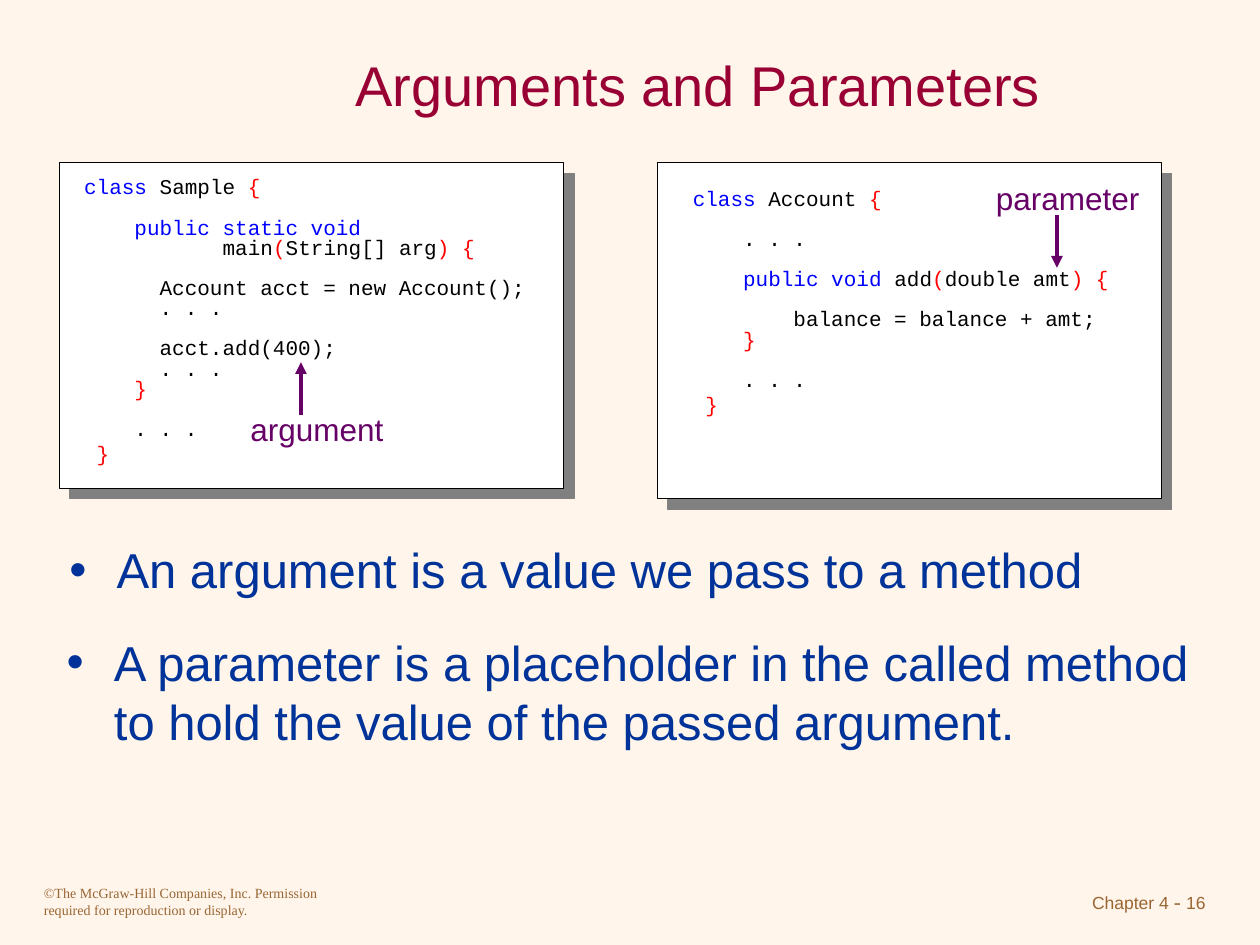
from lxml.etree import SubElement as Sub
from pptx import Presentation
from pptx.dml.color import RGBColor as RGB
from pptx.enum.shapes import MSO_CONNECTOR as Conn, MSO_SHAPE as Kind
from pptx.enum.text import MSO_ANCHOR as Anchor, MSO_AUTO_SIZE as Fit, PP_ALIGN as Align
from pptx.oxml.ns import qn
from pptx.util import Pt

INK, BLUE, RED = "000000", "0000FF", "FF0000"
NAVY, PLUM, TAN = "003399", "660066", "996633"
CODE = {"name": "Courier New", "size": Pt(12)}
HEAD = {"name": "Arial", "size": Pt(32), "color": "990033"}
LIST = {"name": "Arial", "size": Pt(28), "color": NAVY}
NOTE = {"name": "Arial", "size": Pt(18), "color": PLUM}
FOOT = {"name": "Arial", "size": Pt(10), "color": TAN}
DASH = {"name": "Times New Roman", "size": Pt(12), "color": TAN}
LEGAL = {"name": "Times New Roman", "size": Pt(8), "color": TAN}

# Each row is a list of (text, colour) runs; an empty row is a blank line.
SAMPLE = [
    [("class", BLUE), (" Sample ", INK), ("{", RED)],
    [],
    [("    public static void", BLUE)],
    [("           main", INK), ("(", RED), ("String[] arg", INK), (") {", RED)],
    [],
    [("      Account acct = new Account();", INK)],
    [("      . . .", INK)],
    [],
    [("      acct.add(400);", INK)],
    [("      . . .", INK)],
    [("    }", RED)],
    [],
    [("    . . .", INK)],
    [(" }", RED)],
]
ACCOUNT = [
    [("class", BLUE), (" Account ", INK), ("{", RED)],
    [],
    [("    . . .", INK)],
    [],
    [("    public void", BLUE), (" add", INK), ("(", RED), ("double amt", INK), (") {", RED)],
    [],
    [("        balance = balance + amt;", INK)],
    [("    }", RED)],
    [],
    [("    . . .", INK)],
    [(" }", RED)],
]


def paint(color, tint):
    color.rgb = RGB.from_string(tint)


def write(para, text, form):
    run = para.add_run()
    run.text = text
    for key, val in form.items():
        if key == "color":
            paint(run.font.color, val)
        else:
            setattr(run.font, key, val)


def place(shape, spot):
    for key, val in zip(("left", "top", "width", "height"), spot):
        setattr(shape, key, Pt(val))


def text_box(shapes, spot, wrap=True):
    frame = shapes.add_textbox(*map(Pt, spot)).text_frame
    frame.word_wrap = wrap
    frame.auto_size = Fit.NONE if wrap else Fit.SHAPE_TO_FIT_TEXT
    return frame


def panel(shapes, spot):
    """Draw a white card with a hard grey shadow."""
    card = shapes.add_shape(Kind.RECTANGLE, *map(Pt, spot))
    card.fill.solid()
    paint(card.fill.fore_color, "FFFFFF")
    paint(card.line.color, INK)
    card.line.width = Pt(0.75)
    card.shadow.inherit = False
    glow = Sub(card._element.spPr.find(qn("a:effectLst")), qn("a:outerShdw"),
               dist=str(Pt(8.5)), dir="2700000", algn="ctr", rotWithShape="0")
    Sub(glow, qn("a:srgbClr"), val="808080")


def code(shapes, spot, rows):
    frame = text_box(shapes, spot, wrap=False)
    para, gap = frame.paragraphs[0], 0
    for num, row in enumerate(rows):
        if not row:
            gap = 11.5
            continue
        if num:
            para = frame.add_paragraph()
        para.space_before = Pt(gap)
        para.line_spacing = 1.0 if num == len(rows) - 1 else 0.8
        gap = 0
        for text, tint in row:
            write(para, text, CODE | {"color": tint})


def callout(shapes, spot, text, x, start, end):
    """Group a label with an arrow at x from start to end."""
    group = shapes.add_group_shape().shapes
    line = group.add_connector(Conn.STRAIGHT, *map(Pt, (x, start, x, end)))
    paint(line.line.color, PLUM)
    line.line.width = Pt(2.25)
    Sub(line.line._get_or_add_ln(), qn("a:tailEnd"), type="triangle")
    Sub(line._element.spPr, qn("a:effectLst"))
    write(text_box(group, spot, wrap=False).paragraphs[0], text, NOTE)


def bullet(frame, text, space):
    para = frame.paragraphs[0]
    props = para._p.get_or_add_pPr()
    props.set("marL", str(Pt(27)))
    props.set("indent", str(Pt(-27)))
    Sub(Sub(props, qn("a:buClr")), qn("a:srgbClr"), val=NAVY)
    Sub(props, qn("a:buFont"), typeface="Arial")
    Sub(props, qn("a:buChar"), char="•")
    para.space_before = Pt(0)
    para.line_spacing = space
    write(para, text, LIST)


def main():
    deck = Presentation()
    deck.slide_width, deck.slide_height = Pt(720), Pt(540)
    slide = deck.slides.add_slide(deck.slide_layouts[1])
    slide.background.fill.solid()
    paint(slide.background.fill.fore_color, "FFF5EB")
    shapes = slide.shapes

    title, body = slide.placeholders
    place(title, (108, 18, 582, 60))
    place(body, (32.4, 308.5, 672, 39.6))
    for hold in (title, body):
        hold.text_frame.auto_size = Fit.NONE
    title.text_frame.vertical_anchor = Anchor.MIDDLE
    title.text_frame.paragraphs[0].alignment = Align.CENTER
    write(title.text_frame.paragraphs[0], "Arguments and Parameters", HEAD)
    bullet(body.text_frame, "An argument is a value we pass to a method", 0.9)

    panel(shapes, (34, 93, 288, 186))
    panel(shapes, (375.6, 93, 288, 192))
    code(shapes, (388.8, 105, 252, 137), ACCOUNT)
    code(shapes, (41, 98.6, 266.4, 171), SAMPLE)
    callout(shapes, (136, 231, 94, 29), "argument", 172, 237, 207)
    callout(shapes, (562, 98.6, 100, 29), "parameter", 604, 123, 153)

    more = text_box(shapes, (31, 358, 672, 67))
    bullet(more, "A parameter is a placeholder in the called method "
                 "to hold the value of the passed argument.", 1.0)

    legal = text_box(shapes, (18, 502, 180, 27))
    write(legal.paragraphs[0], "©The McGraw-Hill Companies, Inc. Permission "
                               "required for reproduction or display.", LEGAL)
    page = text_box(shapes, (540, 504, 156, 25)).paragraphs[0]
    page.alignment = Align.RIGHT
    for text, form in (("Chapter 4", FOOT), (" - ", DASH), ("16", FOOT)):
        write(page, text, form)

    deck.save("out.pptx")


if __name__ == "__main__":
    main()
